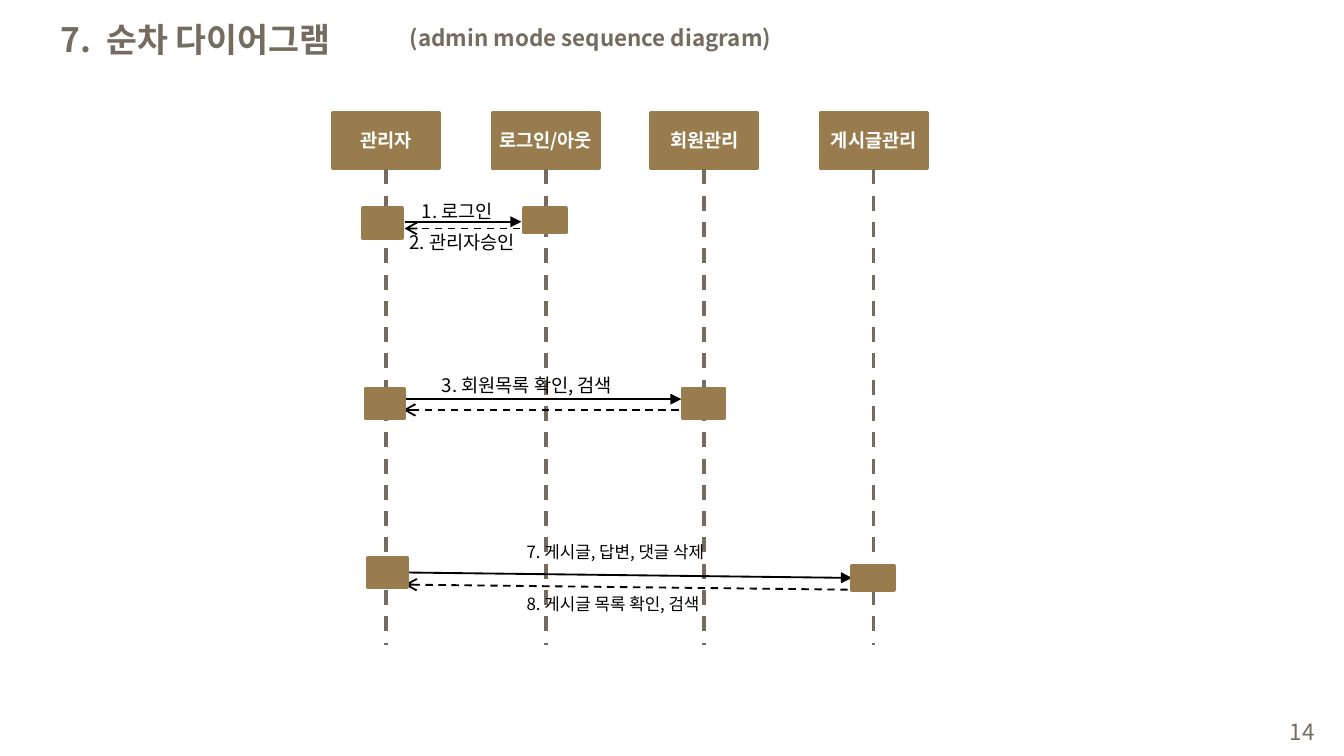
from pptx import Presentation
from pptx.dml.color import RGBColor
from pptx.enum.dml import MSO_LINE
from pptx.enum.shapes import MSO_CONNECTOR, MSO_SHAPE
from pptx.enum.text import MSO_ANCHOR, PP_ALIGN
from pptx.oxml.ns import qn
from pptx.util import Inches, Pt
from lxml import etree

DASH = MSO_LINE.DASH
LINE = MSO_CONNECTOR.STRAIGHT
RECT = MSO_SHAPE.RECTANGLE
MID, TOP = MSO_ANCHOR.MIDDLE, MSO_ANCHOR.TOP
LEFT, MIDDLE, RIGHT = PP_ALIGN.LEFT, PP_ALIGN.CENTER, PP_ALIGN.RIGHT

THEME = {
    "font": "Noto Sans CJK KR",
    "brown": "756B5F", "gold": "987C4D", "ink": "000000", "white": "FFFFFF",
    "title": 18, "sub": 12, "body": 10, "small": 9,
}
WIDE = 10
HIGH = WIDE * 9 / 16

HEADS = [
    ("14", (7.55, 5.29, 2.33, 0.3), "sub", False, RIGHT, MID),
    ("(admin mode sequence diagram)", (2.95, 0.13, 3.31, 0.3), "sub", True, LEFT, TOP),
    ("7.  순차 다이어그램", (0.35, 0.09, 3.21, 0.4), "title", True, LEFT, TOP),
]
LANES = [("관리자", 2.87), ("로그인/아웃", 4.06), ("회원관리", 5.24), ("게시글관리", 6.5)]
HEAD_TOP, HEAD_W, HEAD_H = 0.84, 0.79, 0.41
LIFE_TOP, LIFE_END = 1.26, 4.8

CALLS = [
    ((3.01, 1.65), (3.88, 1.65), False),
    ((3.87, 1.7), (3.01, 1.7), True),
    ((3.02, 2.97), (5.07, 2.97), False),
    ((5.05, 3.05), (3, 3.05), True),
    ((3.03, 4.26), (6.34, 4.3), False),
    ((6.5, 4.39), (3.01, 4.35), True),
]
BARS = [
    (2.7, 1.55, 0.29, 0.22), (3.9, 1.55, 0.31, 0.18),
    (2.72, 2.89, 0.29, 0.22), (5.08, 2.89, 0.31, 0.22),
    (2.74, 4.15, 0.29, 0.22), (6.34, 4.21, 0.31, 0.18),
]
NOTES = [
    ("1. 로그인", (3.04, 1.44, 0.78, 0.27), "body"),
    ("2. 관리자승인", (2.95, 1.67, 1.06, 0.27), "body"),
    ("3. 회원목록 확인, 검색", (3.19, 2.73, 1.61, 0.27), "body"),
    ("7. 게시글, 답변, 댓글 삭제", (3.82, 3.98, 1.72, 0.25), "small"),
    ("8. 게시글 목록 확인, 검색", (3.82, 4.37, 1.64, 0.25), "small"),
]


def tint(name):
    return RGBColor.from_string(THEME[name])


def write(frame, text, size, color, bold=False, align=LEFT, anchor=TOP, wrap=True):
    frame.word_wrap = wrap
    frame.vertical_anchor = anchor
    para = frame.paragraphs[0]
    para.alignment = align
    run = para.add_run()
    run.text = text
    font = run.font
    font.name, font.size, font.bold = THEME["font"], Pt(THEME[size]), bold
    font.color.rgb = tint(color)
    face = etree.SubElement(font._element, qn("a:ea"))
    face.set("typeface", THEME["font"])


def label(slide, place, *words, **style):
    box = slide.shapes.add_textbox(*map(Inches, place))
    write(box.text_frame, *words, **style)


def block(slide, place):
    box = slide.shapes.add_shape(RECT, *map(Inches, place))
    box.shadow.inherit = False
    box.fill.solid()
    box.fill.fore_color.rgb = tint("gold")
    box.line.color.rgb = tint("gold")
    box.line.width = Pt(2)
    etree.SubElement(box.line._get_or_add_ln(), qn("a:round"))
    return box


def stroke(slide, start, end, color, width, dash=False, head=None):
    link = slide.shapes.add_connector(LINE, *map(Inches, start + end))
    link.line.color.rgb = tint(color)
    link.line.width = Pt(width)
    if dash:
        link.line.dash_style = DASH
    if head:
        tip = etree.SubElement(link.line._get_or_add_ln(), qn("a:tailEnd"))
        tip.set("type", head)
    etree.SubElement(link._element.spPr, qn("a:effectLst"))


def main():
    deck = Presentation()
    deck.slide_width, deck.slide_height = Inches(WIDE), Inches(HIGH)
    slide = deck.slides.add_slide(deck.slide_layouts[6])

    for text, place, size, bold, align, anchor in HEADS:
        label(slide, place, text, size, "brown", bold=bold, align=align, anchor=anchor)

    for name, mid in LANES:
        box = block(slide, (mid - HEAD_W / 2, HEAD_TOP, HEAD_W, HEAD_H))
        frame = box.text_frame
        frame.margin_left = frame.margin_right = 0
        frame.margin_top = frame.margin_bottom = 0
        write(frame, name, "body", "white", bold=True, align=MIDDLE, anchor=MID)
        stroke(slide, (mid, LIFE_TOP), (mid, LIFE_END), "brown", 2, dash=True)

    for start, end, reply in CALLS:
        head = "arrow" if reply else "triangle"
        stroke(slide, start, end, "ink", 1, dash=reply, head=head)
    for place in BARS:
        block(slide, place)
    for text, place, size in NOTES:
        label(slide, place, text, size, "ink", wrap=False)

    deck.save("out.pptx")


if __name__ == "__main__":
    main()
